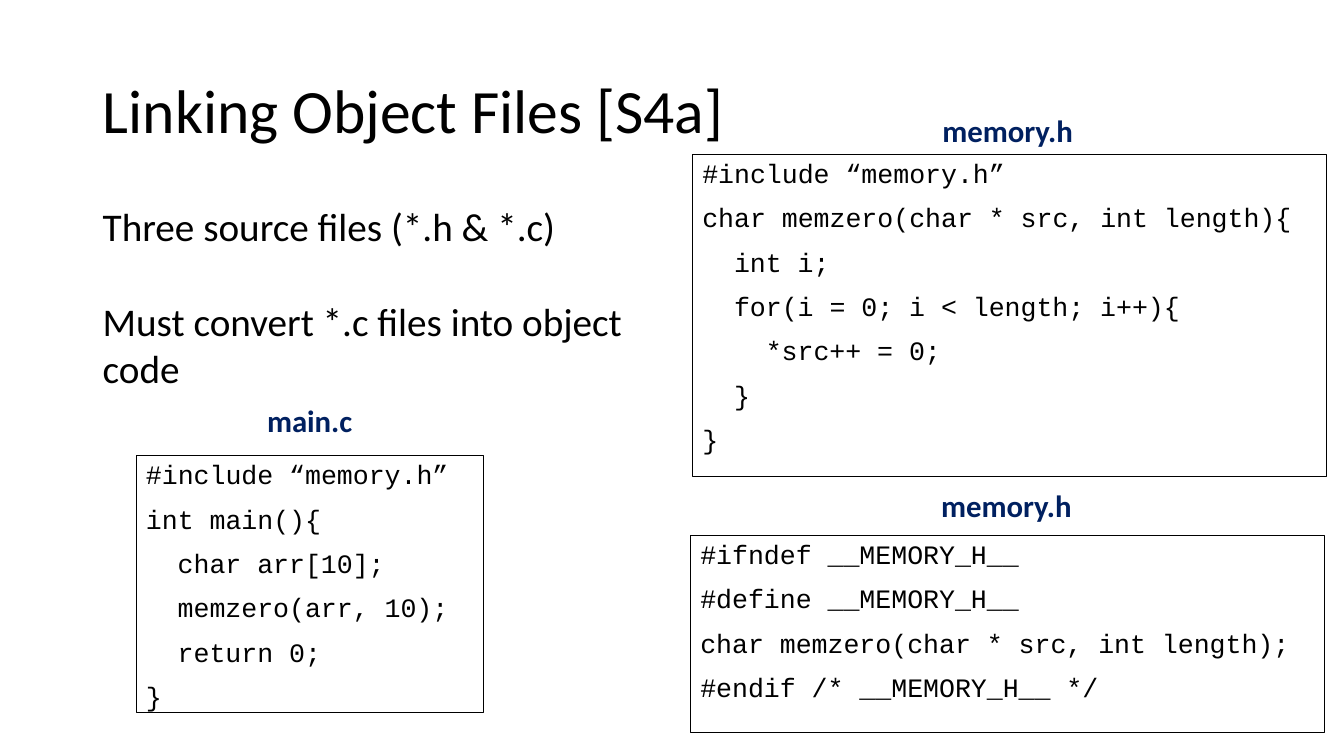
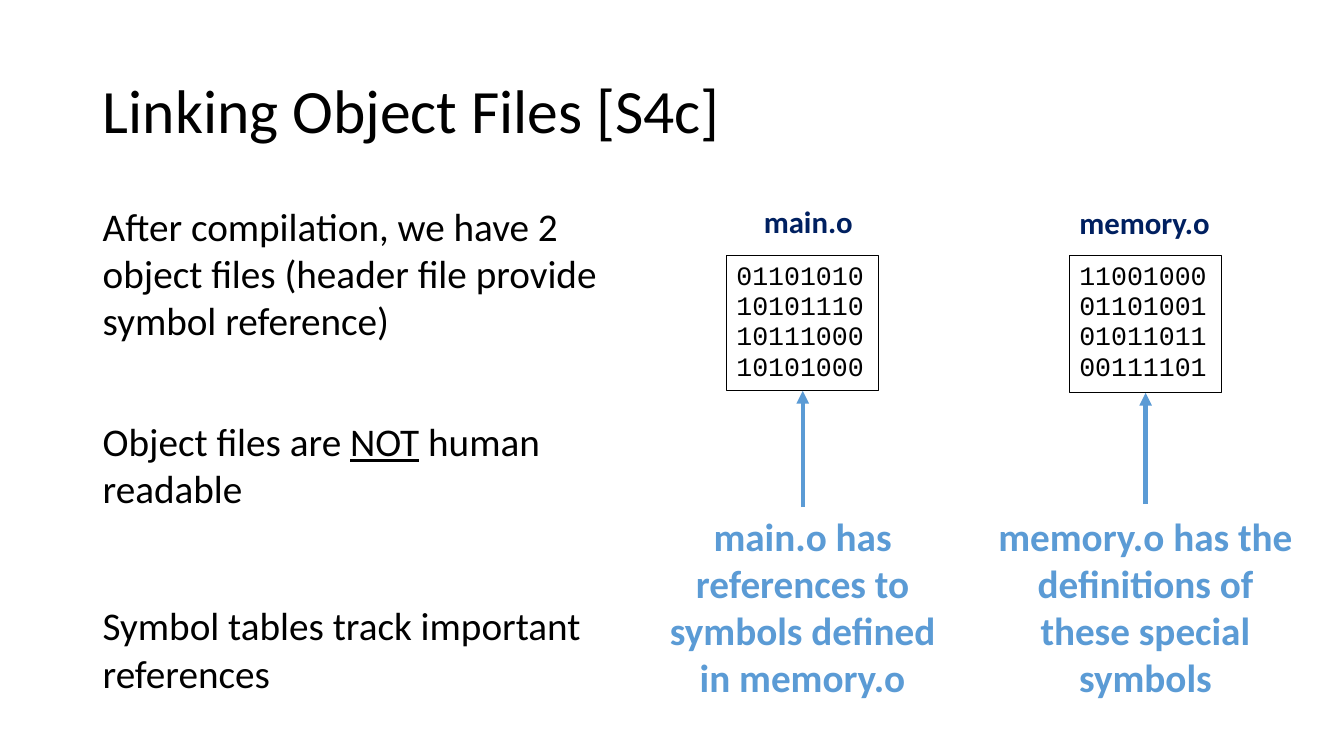
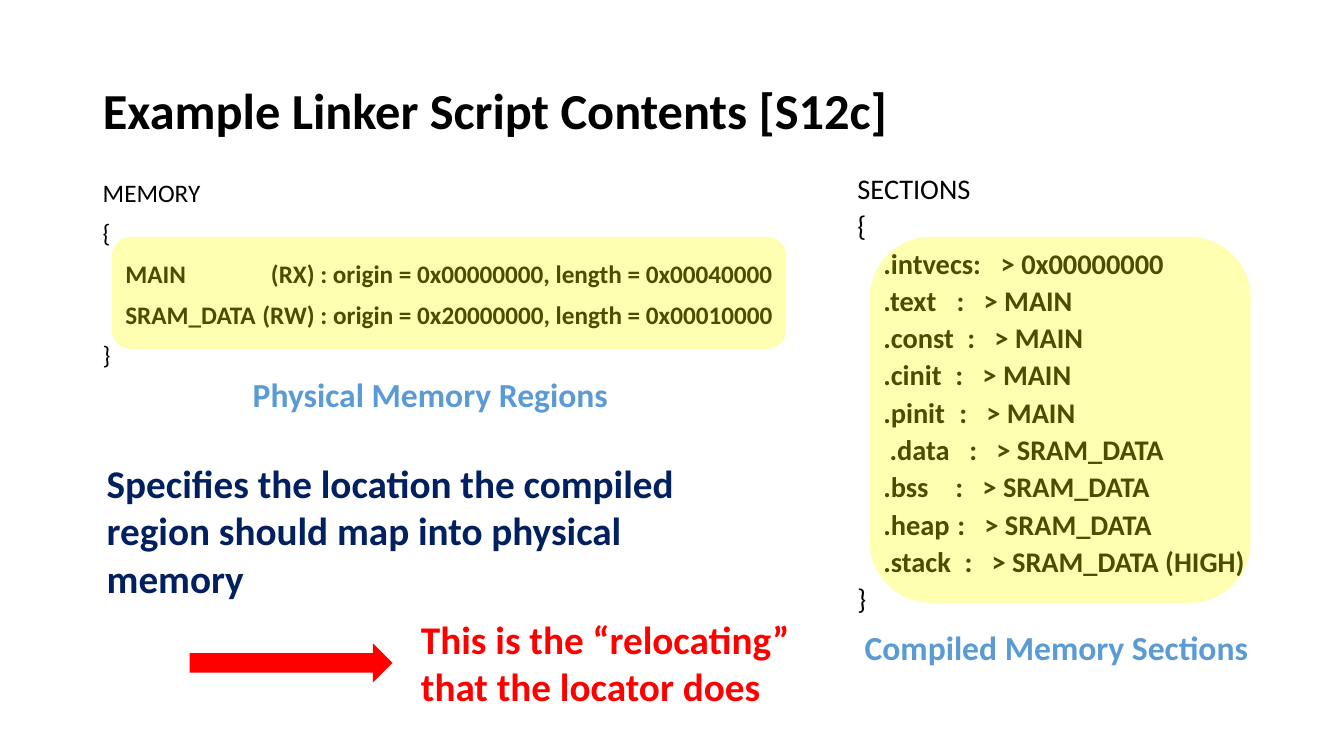
from dataclasses import dataclass
from typing import Optional, Sequence

from lxml import etree
from pptx import Presentation
from pptx.dml.color import RGBColor
from pptx.enum.shapes import MSO_CONNECTOR, MSO_SHAPE
from pptx.enum.text import MSO_ANCHOR, MSO_AUTO_SIZE, PP_ALIGN
from pptx.oxml.ns import qn
from pptx.util import Cm, Pt

LEFT, CENTER = PP_ALIGN.LEFT, PP_ALIGN.CENTER
TOP, MIDDLE = MSO_ANCHOR.TOP, MSO_ANCHOR.MIDDLE
NO_AUTOFIT = MSO_AUTO_SIZE.NONE
RECTANGLE, ROUNDED = MSO_SHAPE.RECTANGLE, MSO_SHAPE.ROUNDED_RECTANGLE
RIGHT_ARROW = MSO_SHAPE.RIGHT_ARROW
STRAIGHT = MSO_CONNECTOR.STRAIGHT
BOTTOM_SIDE = 2
TITLE_ONLY = 5

COLORS = {
    "text": "000000",
    "navy": "002060",
    "blue": "5B9BD5",
    "red": "FF0000",
    "highlight": "FFFF00",
}
SANS, MONO = "Calibri", "Courier New"
MARGIN = 2.34  # left edge shared by titles and body text, in cm


@dataclass(frozen=True)
class Box:
    """Position and size in centimetres."""
    left: float
    top: float
    width: float
    height: float

    def emu(self) -> tuple:
        return Cm(self.left), Cm(self.top), Cm(self.width), Cm(self.height)


@dataclass(frozen=True)
class Style:
    size: float
    color: str = "text"
    font: str = SANS
    bold: bool = False
    align: PP_ALIGN = LEFT
    line_spacing: Optional[float] = None
    space_before: float = 0


@dataclass(frozen=True)
class Run:
    text: str
    bold: bool = False
    underline: bool = False


@dataclass(frozen=True)
class Line:
    runs: Sequence[Run]
    indent: float = 0
    tabs: Sequence[float] = ()


@dataclass(frozen=True)
class ObjectFile:
    name: str
    bits: str
    note: str
    label_box: Box
    bits_box: Box
    note_box: Box
    arrow_start: float


TITLE = Style(44, line_spacing=0.9)
BOLD_TITLE = Style(36, bold=True, line_spacing=0.9)
BODY = Style(28)
SPACED_BODY = Style(28, space_before=34)
CODE = Style(19, font=MONO, line_spacing=0.95, space_before=10)
FILE_LABEL = Style(22, "navy", bold=True)
NOTE = Style(28, "blue", bold=True, align=CENTER)
CAPTION = Style(24, "blue", bold=True)
MEMORY_SCRIPT = Style(18, line_spacing=0.9, space_before=9.6)
SECTIONS_SCRIPT = Style(20.3, line_spacing=0.7, space_before=9.6)

TITLE_BOX = Box(MARGIN, 1.02, 29.21, 3.68)
CODE_INDENT = 0.8  # one code level, two characters wide


def rgb(name: str) -> RGBColor:
    return RGBColor.from_string(COLORS[name])


def plain(text: str, bold: bool = False) -> Line:
    return Line([Run(text, bold)])


def code_lines(*rows: tuple) -> list:
    """Turn (level, text) rows into indented lines."""
    return [Line([Run(text)], level * CODE_INDENT) for level, text in rows]


def write(frame, lines: Sequence[Line], style: Style, anchor=TOP,
          wrap: bool = True) -> None:
    frame.word_wrap = wrap
    frame.auto_size = NO_AUTOFIT
    frame.vertical_anchor = anchor
    for number, line in enumerate(lines):
        paragraph = frame.add_paragraph() if number else frame.paragraphs[0]
        paragraph.alignment = style.align
        paragraph.space_before = Pt(style.space_before)
        if style.line_spacing:
            paragraph.line_spacing = style.line_spacing
        properties = paragraph._p.get_or_add_pPr()
        if line.indent:
            properties.set("marL", str(int(Cm(line.indent))))
        if line.tabs:
            stops = etree.SubElement(properties, qn("a:tabLst"))
            for position in line.tabs:
                etree.SubElement(stops, qn("a:tab"),
                                 pos=str(int(Cm(position))), algn="l")
        for part in line.runs:
            run = paragraph.add_run()
            run.text = part.text
            run.font.name = style.font
            run.font.size = Pt(style.size)
            run.font.bold = style.bold or part.bold
            run.font.color.rgb = rgb(style.color)
            if part.underline:
                run.font.underline = True


def new_slide(deck, title: str, style: Style = TITLE):
    slide = deck.slides.add_slide(deck.slide_layouts[TITLE_ONLY])
    heading = slide.shapes.title
    heading.left, heading.top, heading.width, heading.height = TITLE_BOX.emu()
    write(heading.text_frame, [plain(title)], style, MIDDLE)
    return slide


def add_text(slide, box: Box, lines: Sequence[Line], style: Style,
             wrap: bool = True) -> None:
    frame = slide.shapes.add_textbox(*box.emu()).text_frame
    write(frame, lines, style, wrap=wrap)


def add_code(slide, box: Box, lines: Sequence[Line]):
    listing = slide.shapes.add_shape(RECTANGLE, *box.emu())
    listing.shadow.inherit = False
    listing.fill.background()
    listing.line.color.rgb = rgb("text")
    listing.line.width = Pt(0.75)
    write(listing.text_frame, lines, CODE)
    return listing


def add_filled(slide, kind, box: Box, color: str,
               opacity: Optional[int] = None) -> None:
    shape = slide.shapes.add_shape(kind, *box.emu())
    shape.shadow.inherit = False
    shape.fill.solid()
    shape.fill.fore_color.rgb = rgb(color)
    shape.line.fill.background()
    if opacity is not None:
        tint = shape._element.spPr.find(qn("a:solidFill"))[0]
        etree.SubElement(tint, qn("a:alpha"), val=str(opacity * 1000))


def add_arrow_up(slide, target, start: float) -> None:
    """Arrow from a height in cm up to the bottom of the target."""
    middle = target.left + target.width // 2
    arrow = slide.shapes.add_connector(
        STRAIGHT, middle, Cm(start), middle, target.top + target.height)
    arrow.end_connect(target, BOTTOM_SIDE)
    arrow.line.color.rgb = rgb("blue")
    arrow.line.width = Pt(3)
    etree.SubElement(arrow.line._get_or_add_ln(), qn("a:tailEnd"),
                     type="triangle")
    etree.SubElement(arrow._element.spPr, qn("a:effectLst"))


def source_files_slide(deck) -> None:
    slide = new_slide(deck, "Linking Object Files [S4a]")
    add_text(slide, Box(MARGIN, 4.98, 14.15, 5.05), [
        plain("Three source files (*.h & *.c)"),
        plain("Must convert *.c files into object code"),
    ], SPACED_BODY)

    # Source listings with their file names
    listings = [
        ("memory.h", Box(23.5, 2.69, 3.84, 1.19), Box(17.45, 3.89, 15.98, 8.13),
         code_lines((0, "#include “memory.h”"),
                    (0, "char memzero(char * src, int length){"),
                    (1, "int i;"),
                    (1, "for(i = 0; i < length; i++){"),
                    (2, "*src++ = 0;"),
                    (1, "}"),
                    (0, "}"))),
        ("memory.h", Box(23.47, 12.14, 3.84, 1.19),
         Box(17.4, 13.49, 15.98, 4.98),
         code_lines((0, "#ifndef __MEMORY_H__"),
                    (0, "#define __MEMORY_H__"),
                    (0, "char memzero(char * src, int length);"),
                    (0, "#endif /* __MEMORY_H__ */"))),
        ("main.c", Box(6.48, 10.01, 2.69, 1.19), Box(3.43, 11.48, 8.76, 6.48),
         code_lines((0, "#include “memory.h”"),
                    (0, "int main(){"),
                    (1, "char arr[10];"),
                    (1, "memzero(arr, 10);"),
                    (1, "return 0;"),
                    (0, "}"))),
    ]
    for name, label_box, code_box, lines in listings:
        add_code(slide, code_box, lines)
        add_text(slide, label_box, [plain(name)], FILE_LABEL, wrap=False)


def object_files_slide(deck) -> None:
    slide = new_slide(deck, "Linking Object Files [S4c]")

    # Statements on the left
    statements = [
        (4.98, 3.84, plain("After compilation, we have 2 object files "
                           "(header file provide symbol reference)")),
        (10.39, 2.64, Line([Run("Object files are "),
                            Run("NOT", underline=True),
                            Run(" human readable")])),
        (15.04, 2.64, plain("Symbol tables track important references")),
    ]
    for top, height, line in statements:
        add_text(slide, Box(MARGIN, top, 13.26, height), [line], BODY)

    # Object files with an explanation below each
    files = [
        ObjectFile("main.o", "01101010101011101011100010101000",
                   "main.o has references to symbols defined in memory.o",
                   Box(19, 4.98, 2.77, 1.19), Box(18.31, 6.45, 3.84, 3.4),
                   Box(16.15, 12.78, 8.15, 5.05), 12.78),
        ObjectFile("memory.o", "11001000011010010101101100111101",
                   "memory.o has the definitions of these special symbols",
                   Box(26.95, 5, 3.84, 1.19), Box(26.95, 6.45, 3.84, 3.45),
                   Box(24.79, 12.78, 8.15, 5.05), 12.7),
    ]
    for file in files:
        add_text(slide, file.label_box, [plain(file.name)], FILE_LABEL,
                 wrap=False)
        bits = add_code(slide, file.bits_box, [plain(file.bits)])
        add_text(slide, file.note_box, [plain(file.note)], NOTE)
        add_arrow_up(slide, bits, file.arrow_start)


def linker_script_slide(deck) -> None:
    slide = new_slide(deck, "Example Linker Script Contents [S12c]", BOLD_TITLE)

    # Physical memory regions: name and attributes sit on tab stops
    regions = [
        ("MAIN", "(RX) : origin = 0x00000000, length = 0x00040000", 4.24),
        ("SRAM_DATA", "(RW) : origin = 0x20000000, length = 0x00010000", 4.02),
    ]
    add_text(slide, Box(MARGIN, 4.42, 19.05, 5.66), [
        plain("MEMORY"),
        plain("{"),
        *(Line([Run(f"\t{name}\t{extent}", bold=True)], tabs=(0.57, stop))
          for name, extent, stop in regions),
        plain("}"),
    ], MEMORY_SCRIPT)

    # Compiled sections: name, colon and target sit on tab stops
    name_stop, colon_gap = 0.65, 0.68
    sections = [
        (".text", "MAIN", name_stop, 3.18),
        (".const", "MAIN", name_stop, 3.45),
        (".cinit", "MAIN", name_stop, 3.15),
        (".pinit", "MAIN", name_stop, 3.25),
        (".data", "SRAM_DATA", 0.81, 3.5),
        (".bss", "SRAM_DATA", name_stop, 3.15),
        (".heap", "SRAM_DATA", name_stop, 3.2),
        (".stack", "SRAM_DATA (HIGH)", name_stop, 3.38),
    ]
    add_text(slide, Box(21.36, 4.42, 10.59, 12.09), [
        plain("SECTIONS"),
        plain("{"),
        Line([Run("\t.intvecs:\t> 0x00000000", bold=True)],
             tabs=(name_stop, 3.61)),
        *(Line([Run(f"\t{name}\t:\t> {target}", bold=True)],
               tabs=(start, stop - colon_gap, stop))
          for name, target, start, stop in sections),
        plain("}"),
    ], SECTIONS_SCRIPT)

    # Highlights and captions
    for area in (Box(21.92, 5.97, 9.6, 9.22), Box(2.82, 5.97, 16.99, 2.82)):
        add_filled(slide, ROUNDED, area, "highlight", opacity=30)
    captions = [
        ("Physical Memory Regions", Box(6.12, 9.3, 9.55, 1.27)),
        ("Compiled Memory Sections", Box(21.54, 15.67, 10.29, 1.27)),
    ]
    for caption, box in captions:
        add_text(slide, box, [plain(caption)], CAPTION, wrap=False)

    # Conclusion
    add_text(slide, Box(2.44, 11.46, 17.04, 3.84), [
        plain("Specifies the location the compiled region should map "
              "into physical memory"),
    ], Style(28, "navy", bold=True))
    add_filled(slide, RIGHT_ARROW, Box(4.78, 16.21, 5.11, 0.99), "red")
    add_text(slide, Box(10.36, 15.37, 11, 2.64), [
        plain("This is the “relocating” that the locator does"),
    ], Style(28, "red", bold=True))


def main() -> None:
    deck = Presentation()
    deck.slide_width, deck.slide_height = Cm(33.87), Cm(19.05)
    source_files_slide(deck)
    object_files_slide(deck)
    linker_script_slide(deck)
    deck.save("out.pptx")


if __name__ == "__main__":
    main()
